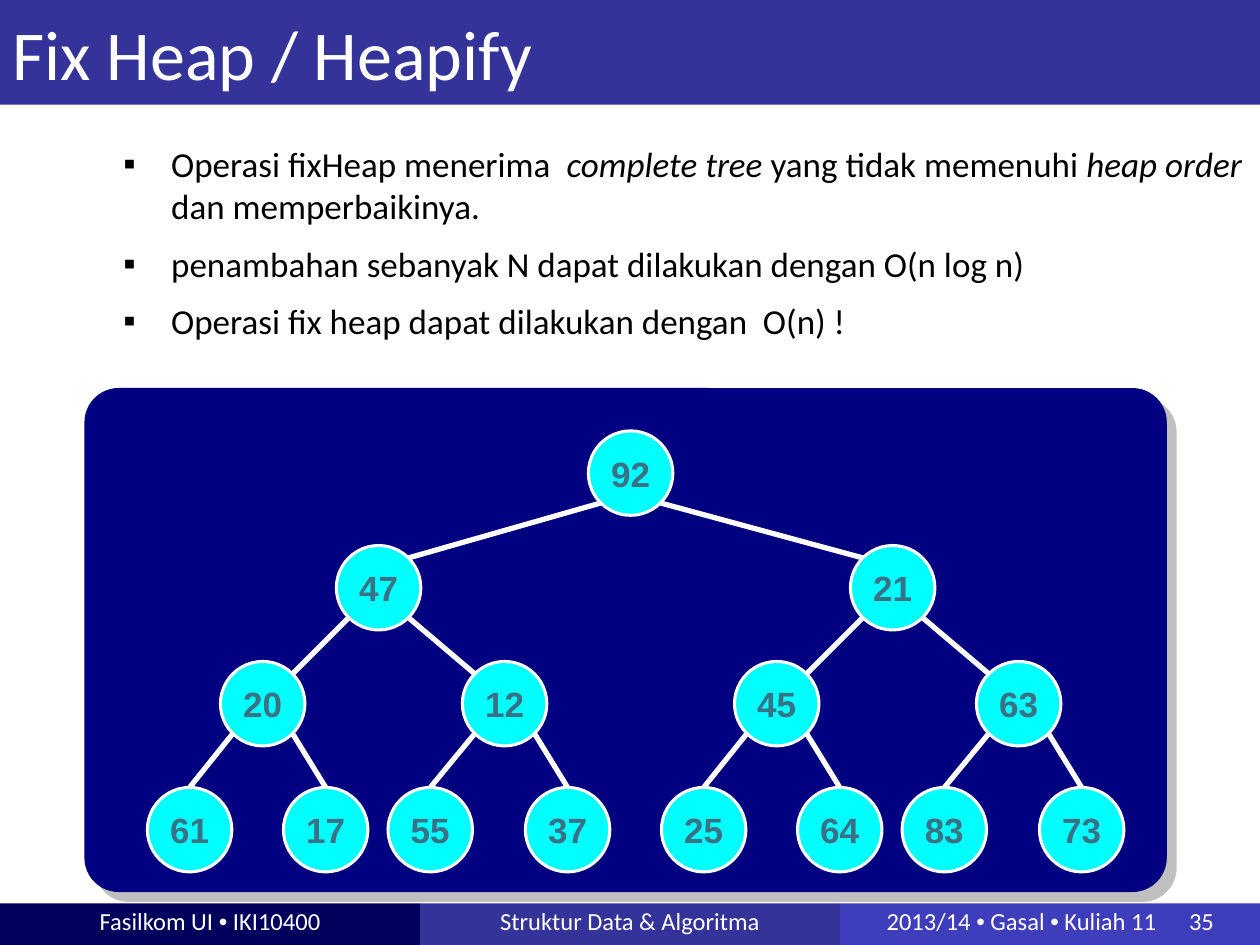
from dataclasses import dataclass

from lxml.etree import SubElement
from pptx import Presentation
from pptx.dml.color import RGBColor
from pptx.enum.shapes import MSO_CONNECTOR, MSO_SHAPE
from pptx.enum.text import MSO_ANCHOR, PP_ALIGN
from pptx.oxml import parse_xml
from pptx.oxml.ns import nsdecls, qn
from pptx.util import Inches, Pt


@dataclass(frozen=True)
class Theme:
    white: RGBColor = RGBColor(0xFF, 0xFF, 0xFF)
    black: RGBColor = RGBColor(0x00, 0x00, 0x00)
    title_bar: RGBColor = RGBColor(0x33, 0x33, 0x99)
    footer_dark: RGBColor = RGBColor(0x00, 0x00, 0x5C)
    footer_light: RGBColor = RGBColor(0x3E, 0x3E, 0xBC)
    panel: RGBColor = RGBColor(0x00, 0x00, 0x80)
    node: RGBColor = RGBColor(0x00, 0xFF, 0xFF)
    node_text: RGBColor = RGBColor(0x3A, 0x71, 0x84)
    shadow: str = "808080"
    text_font: str = "Calibri"
    node_font: str = "Arial"
    title_size: int = 40
    body_size: int = 20
    footer_size: int = 14


theme = Theme()


def style_run(run, size, color, font=theme.text_font):
    run.font.size = Pt(size)
    run.font.name = font
    run.font.color.rgb = color


def add_filled_shape(kind, left, top, width, height, color):
    shape = slide.shapes.add_shape(kind, Inches(left), Inches(top), Inches(width), Inches(height))
    shape.shadow.inherit = False
    shape.fill.solid()
    shape.fill.fore_color.rgb = color
    shape.line.fill.background()
    return shape


presentation = Presentation()
presentation.slide_width = Inches(10)
presentation.slide_height = Inches(7.5)
slide = presentation.slides.add_slide(presentation.slide_layouts[5])

title = slide.shapes.title
title.left, title.top, title.width, title.height = Inches(0), Inches(0), Inches(10), Inches(0.83)
title.fill.solid()
title.fill.fore_color.rgb = theme.title_bar
title.text_frame.text = "Fix Heap / Heapify"
title.text_frame.vertical_anchor = MSO_ANCHOR.MIDDLE
title.text_frame.paragraphs[0].alignment = PP_ALIGN.LEFT
style_run(title.text_frame.paragraphs[0].runs[0], theme.title_size, theme.white)

footers = [
    (["Fasilkom UI ", "•", " IKI10400"], theme.footer_dark),
    (["Struktur Data & Algoritma"], theme.title_bar),
    (["2013/14 ", "•", " Gasal ", "•", " Kuliah 11\t35"], theme.footer_light),
]
footer_width = 10 / len(footers)
for index, (parts, color) in enumerate(footers):
    footer = add_filled_shape(MSO_SHAPE.RECTANGLE, index * footer_width, 7.17, footer_width, 0.33, color)
    frame = footer.text_frame
    frame.vertical_anchor = MSO_ANCHOR.MIDDLE
    frame.margin_top = Inches(0)
    paragraph = frame.paragraphs[0]
    paragraph.alignment = PP_ALIGN.CENTER
    for part in parts:
        run = paragraph.add_run()
        run.text = part
        style_run(run, theme.footer_size, theme.white, theme.node_font if part == "•" else theme.text_font)

frame.margin_left = Inches(0.37)
paragraph.alignment = PP_ALIGN.LEFT
tab_list = SubElement(paragraph._p.get_or_add_pPr(), qn("a:tabLst"))
SubElement(tab_list, qn("a:tab"), pos=str(Inches(2.4)), algn="l")

panel = add_filled_shape(MSO_SHAPE.ROUNDED_RECTANGLE, 0.67, 3.08, 8.59, 4, theme.panel)
panel.adjustments[0] = 0.068
panel._element.spPr.find(qn("a:effectLst")).append(parse_xml(
    f'<a:outerShdw {nsdecls("a")} blurRad="0" dist="{Pt(8)}" dir="2700000" algn="tl" rotWithShape="0">'
    f'<a:srgbClr val="{theme.shadow}"><a:alpha val="50000"/></a:srgbClr></a:outerShdw>'
))

bullets = [
    [
        ("Operasi fixHeap menerima  ", False),
        ("complete tree", True),
        (" yang tidak memenuhi ", False),
        ("heap order ", True),
        ("dan memperbaikinya.", False),
    ],
    [("penambahan sebanyak N dapat dilakukan dengan O(n log n)", False)],
    [("Operasi fix heap dapat dilakukan dengan  O(n) !", False)],
]
body = slide.shapes.add_textbox(Inches(0.88), Inches(1.08), Inches(9.12), Inches(1.85))
body.text_frame.word_wrap = True
for index, parts in enumerate(bullets):
    paragraph = body.text_frame.add_paragraph() if index else body.text_frame.paragraphs[0]
    paragraph.space_before = Pt(3)
    paragraph.space_after = Pt(6)
    properties = paragraph._p.get_or_add_pPr()
    properties.set("marL", str(Inches(0.38)))
    properties.set("indent", str(-Inches(0.38)))
    SubElement(properties, qn("a:buFont"), typeface=theme.node_font)
    SubElement(properties, qn("a:buChar"), char="▪")
    for text, italic in parts:
        run = paragraph.add_run()
        run.text = text
        run.font.italic = italic
        style_run(run, theme.body_size, theme.black)

diameter = 0.67
radius = diameter / 2
diagonal = radius * 0.5 ** 0.5
half_shift = 4.08
level_tops = [3.42, 4.33, 5.25, 6.25]
left_subtree = [[2.67], [1.75, 3.67], [1.17, 2.25, 3.08, 4.17]]
level_lefts = [[4.67]] + [lefts + [left + half_shift for left in lefts] for lefts in left_subtree]
heap = [92, 47, 21, 20, 12, 45, 63, 61, 17, 55, 37, 25, 64, 83, 73]

centers = [
    (left + radius, top + radius)
    for top, lefts in zip(level_tops, level_lefts)
    for left in lefts
]
first_leaf = len(heap) // 2

for value, (x, y) in zip(heap, centers):
    node = add_filled_shape(MSO_SHAPE.OVAL, x - radius, y - radius, diameter, diameter, theme.node)
    node.line.color.rgb = theme.white
    node.line.width = Pt(1.75)
    frame = node.text_frame
    frame.text = str(value)
    frame.word_wrap = False
    frame.vertical_anchor = MSO_ANCHOR.MIDDLE
    frame.paragraphs[0].alignment = PP_ALIGN.CENTER
    run = frame.paragraphs[0].runs[0]
    style_run(run, theme.body_size, theme.node_text, theme.node_font)
    run.font.bold = True

for child in range(1, len(heap)):
    parent_x, parent_y = centers[(child - 1) // 2]
    child_x, child_y = centers[child]
    side = -1 if child % 2 else 1
    if child >= first_leaf:
        end_x, end_y = child_x, child_y - radius
    else:
        end_x, end_y = child_x - side * diagonal, child_y - diagonal
    edge = slide.shapes.add_connector(
        MSO_CONNECTOR.STRAIGHT,
        Inches(parent_x + side * diagonal), Inches(parent_y + diagonal),
        Inches(end_x), Inches(end_y),
    )
    edge.line.color.rgb = theme.white
    edge.line.width = Pt(3)
    SubElement(edge._element.spPr, qn("a:effectLst"))

presentation.save("out.pptx")
